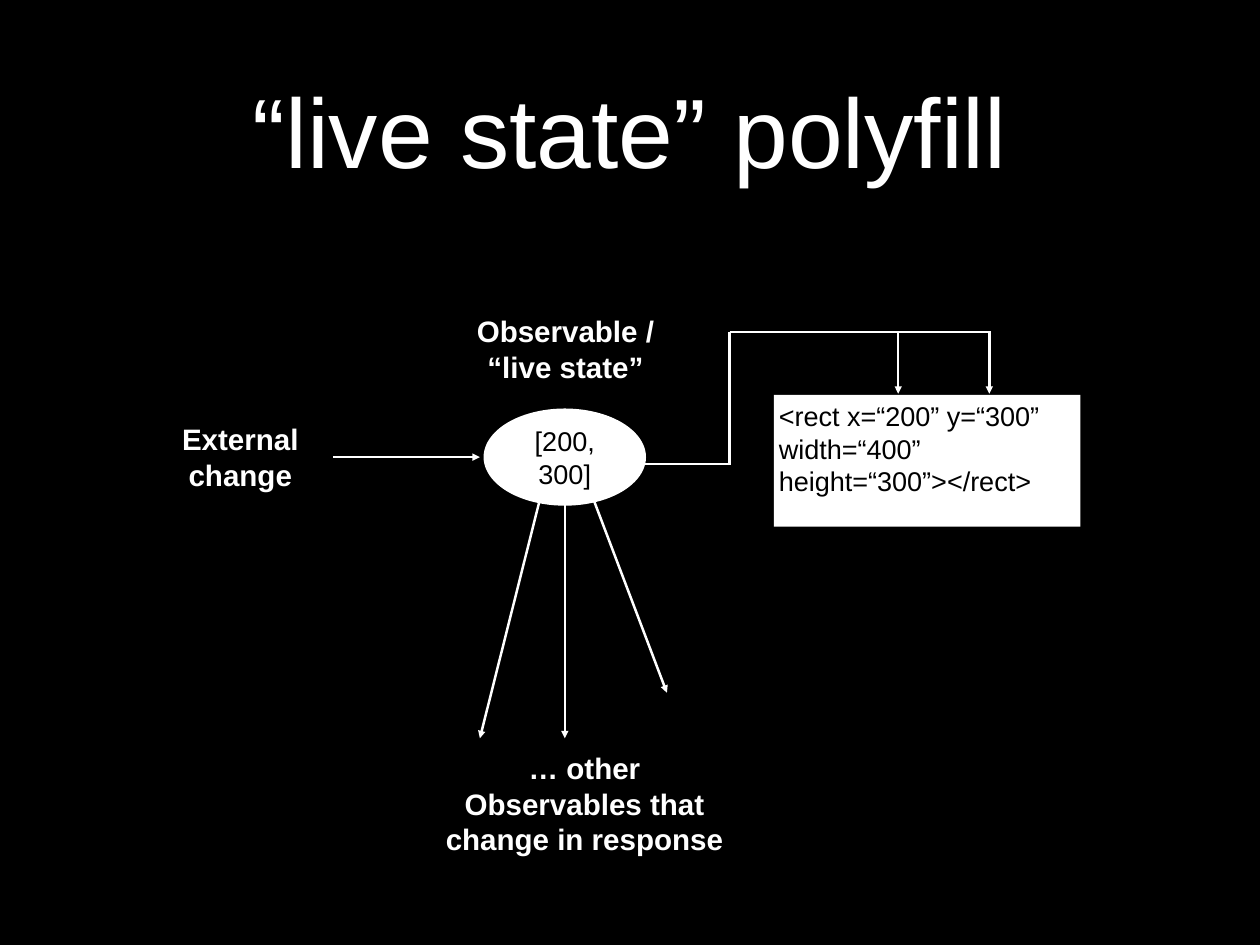
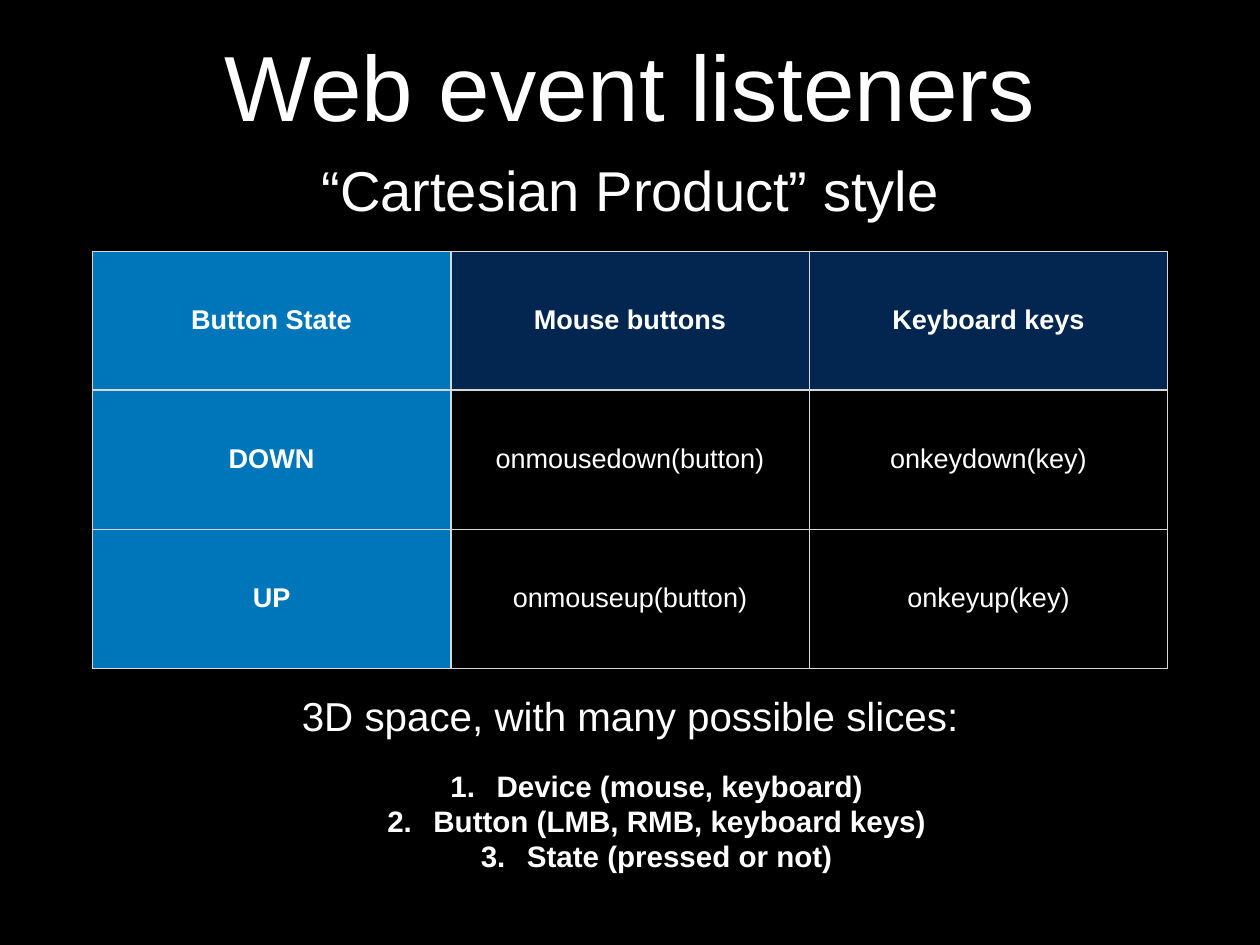
from dataclasses import dataclass

from pptx import Presentation
from pptx.dml.color import RGBColor
from pptx.enum.shapes import MSO_CONNECTOR, MSO_SHAPE
from pptx.enum.text import MSO_ANCHOR, PP_ALIGN
from pptx.oxml.ns import qn
from pptx.util import Pt
from lxml import etree

STRAIGHT = MSO_CONNECTOR.STRAIGHT
OVAL, RECT = MSO_SHAPE.OVAL, MSO_SHAPE.RECTANGLE
TOP, MIDDLE = MSO_ANCHOR.TOP, MSO_ANCHOR.MIDDLE
LEFT, CENTER = PP_ALIGN.LEFT, PP_ALIGN.CENTER


@dataclass(frozen=True)
class Theme:
    font: str = "Arial"
    black: str = "000000"
    white: str = "FFFFFF"
    navy: str = "032650"
    blue: str = "0076BA"
    edge: str = "D6D7D6"
    title: float = 80
    tight: float = 75.2
    sub: float = 45.6
    note: float = 32.8
    label: float = 24
    body: float = 22
    inset: float = 4
    line: float = 2
    left: float = 75
    width: float = 874


THEME = Theme()


def color(code):
    return RGBColor.from_string(code)


def style(para, size, ink=THEME.white, bold=False, align=CENTER):
    para.alignment = align
    font = para.font
    font.name, font.size, font.bold = THEME.font, Pt(size), bold
    font.color.rgb = color(ink)


def pad(owner):
    for side in ("left", "top", "right", "bottom"):
        setattr(owner, f"margin_{side}", Pt(THEME.inset))
    owner.vertical_anchor = MIDDLE


def write(shape, lines, size, number=False, anchor=MIDDLE, **look):
    frame = shape.text_frame
    pad(frame)
    frame.word_wrap = True
    frame.vertical_anchor = anchor
    frame.text = "\n".join(lines)
    for para in frame.paragraphs:
        if number:
            props = para._p.get_or_add_pPr()
            props.set("marL", str(Pt(37.5)))
            props.set("indent", str(Pt(-37.5)))
            etree.SubElement(props, qn("a:buFont"), typeface="+mj-lt")
            etree.SubElement(props, qn("a:buAutoNum"), type="arabicPeriod")
        style(para, size, **look)


def add_text(slide, place, lines, size, **look):
    box = slide.shapes.add_textbox(*map(Pt, place))
    write(box, lines, size, **look)


def add_band(slide, top, height, text, size):
    add_text(slide, (THEME.left, top, THEME.width, height), [text], size)


def add_label(slide, place, text):
    add_text(slide, place, [text], THEME.label, bold=True)


def add_node(slide, kind, place, text, **look):
    node = slide.shapes.add_shape(kind, *map(Pt, place))
    node.shadow.inherit = False
    node.fill.solid()
    node.fill.fore_color.rgb = color(THEME.white)
    node.line.fill.background()
    write(node, [text], THEME.body, ink=THEME.black, **look)


def add_line(slide, start, end, arrow=False):
    link = slide.shapes.add_connector(STRAIGHT, *map(Pt, start + end))
    link.line.width = Pt(THEME.line)
    link.line.color.rgb = color(THEME.white)
    props = link.element.spPr
    if arrow:
        etree.SubElement(props.find(qn("a:ln")), qn("a:tailEnd"), type="triangle")
    etree.SubElement(props, qn("a:effectLst"))


def add_edge(cell, side, width):
    props = cell._tc.get_or_add_tcPr()
    line = etree.SubElement(props, qn(f"a:ln{side}"), w=str(Pt(width)))
    fill = etree.SubElement(line, qn("a:solidFill"))
    etree.SubElement(fill, qn("a:srgbClr"), val=THEME.edge)


def fill_cell(cell, row, col, text):
    pad(cell)
    cell.text = text
    style(cell.text_frame.paragraphs[0], THEME.body, bold=row == 0 or col == 0)
    heavy = {"L": col == 1, "R": col == 0, "T": row == 1, "B": row == 0}
    for side, thick in heavy.items():
        add_edge(cell, side, 2 if thick else 1)
    if row and col:
        cell.fill.background()
    else:
        cell.fill.solid()
        cell.fill.fore_color.rgb = color(THEME.navy if col else THEME.blue)


def add_grid(slide, place, data):
    frame = slide.shapes.add_table(len(data), len(data[0]), *map(Pt, place))
    table = frame.table
    table.first_row = table.horz_banding = False
    for row, texts in enumerate(data):
        for col, text in enumerate(texts):
            fill_cell(table.cell(row, col), row, col, text)


def add_state(slide):
    add_band(slide, 20, 170, "“live state” polyfill", THEME.title)
    add_node(slide, OVAL, (393, 332, 132, 79), "[200, 300]")
    add_label(slide, (374.5, 250.5, 170, 65.5), "Observable / “live state”")
    add_node(slide, RECT, (629, 321, 249, 107),
             "<rect x=“200” y=“300” width=“400” height=“300”></rect>",
             anchor=TOP, align=LEFT)

    bend, rail, end = 593, 270, 804
    add_line(slide, (519, 377), (bend + 1, 377))
    add_line(slide, (bend, 378), (bend, rail))
    add_line(slide, (bend, rail), (end + 1, rail))
    for x in (730, end):
        add_line(slide, (x, rail), (x, 320), arrow=True)
    for x, tip in ((482, (542, 563)), (439, (390, 600)), (459, (459, 600))):
        add_line(slide, (x, 405), tip, arrow=True)
    add_line(slide, (271, 371.5), (390, 371.5), arrow=True)

    add_label(slide, (350.5, 606, 249, 94),
              "… other Observables that change in response")
    add_label(slide, (122.5, 338.5, 145.5, 65.5), "External change")


def add_events(slide):
    add_band(slide, 20, 97, "Web event listeners", THEME.tight)
    add_band(slide, 122.5, 62, "“Cartesian Product” style", THEME.sub)
    add_grid(slide, (THEME.left, 204, THEME.width, 339), [
        ("Button State", "Mouse buttons", "Keyboard keys"),
        ("DOWN", "onmousedown(button)", "onkeydown(key)"),
        ("UP", "onmouseup(button)", "onkeyup(key)"),
    ])
    add_band(slide, 557.5, 48, "3D space, with many possible slices:", THEME.note)
    add_text(slide, (268.5, 620, 530, 94), [
        "Device (mouse, keyboard)",
        "Button (LMB, RMB, keyboard keys)",
        "State (pressed or not)",
    ], THEME.label, number=True, bold=True)


def main():
    deck = Presentation()
    deck.slide_width, deck.slide_height = Pt(1024), Pt(768)
    back = deck.slide_master.background.fill
    back.solid()
    back.fore_color.rgb = color(THEME.black)
    for build in (add_state, add_events):
        build(deck.slides.add_slide(deck.slide_layouts[6]))
    deck.save("out.pptx")


if __name__ == "__main__":
    main()
